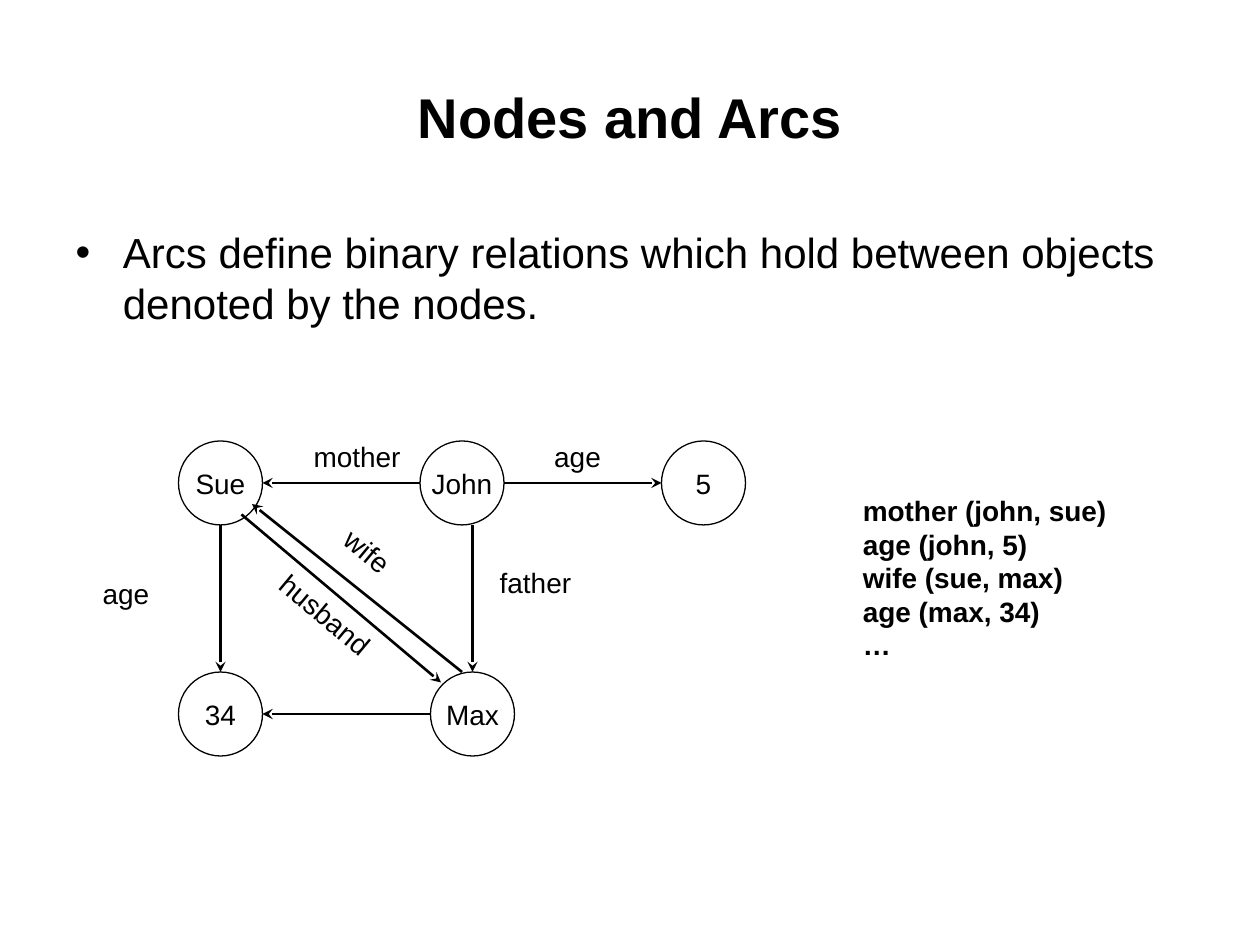
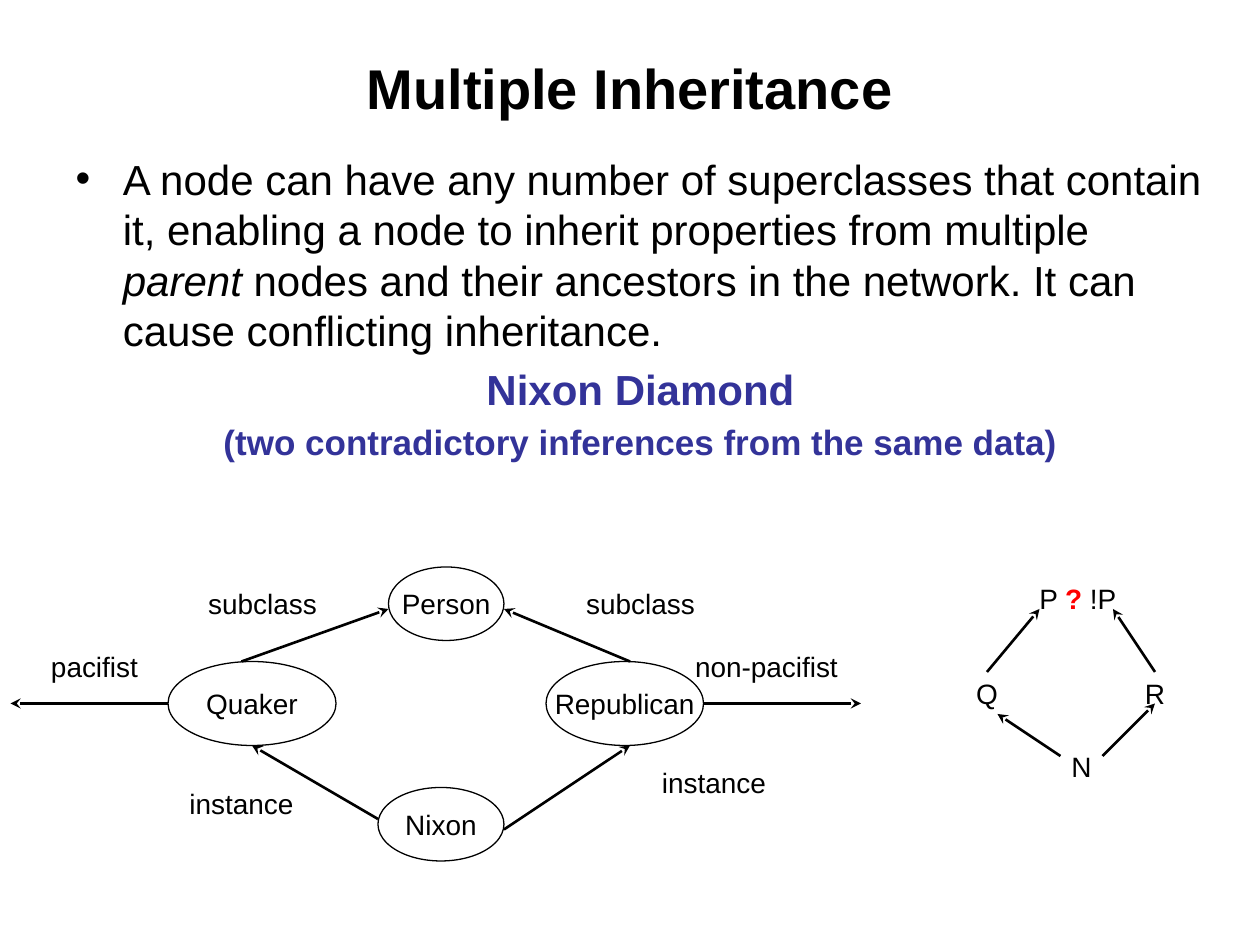
"""Build two slides on semantic networks: arcs between nodes, and multiple inheritance."""
from lxml import etree
from pptx import Presentation
from pptx.dml.color import RGBColor
from pptx.enum.shapes import MSO_CONNECTOR, MSO_SHAPE
from pptx.enum.text import MSO_ANCHOR, MSO_AUTO_SIZE, PP_ALIGN
from pptx.oxml.ns import qn
from pptx.util import Emu, Pt

ELLIPSE = MSO_SHAPE.OVAL
STRAIGHT = MSO_CONNECTOR.STRAIGHT
MIDDLE, TOP = MSO_ANCHOR.MIDDLE, MSO_ANCHOR.TOP
CENTER, LEFT = PP_ALIGN.CENTER, PP_ALIGN.LEFT
NO_AUTOFIT = MSO_AUTO_SIZE.NONE

PX = 7620
FONT = "Arial"
BLACK, BLUE, RED = "000000", "333399", "FF0000"
LABEL_WIDTH, LABEL_HEIGHT = 120, 30
NODE = 80


def px(*lengths):
    return [Emu(length * PX) for length in lengths]


def color(value):
    return RGBColor.from_string(value)


def add_text(paragraph, text, size=16, ink=BLACK, bold=False, italic=False):
    run = paragraph.add_run()
    run.text = text
    font = run.font
    font.name, font.size = FONT, Pt(size)
    font.bold, font.italic = bold, italic
    font.color.rgb = color(ink)


def set_bullet(paragraph, character=None):
    properties = paragraph._p.get_or_add_pPr()
    if character:
        etree.SubElement(properties, qn("a:buChar")).set("char", character)
    else:
        etree.SubElement(properties, qn("a:buNone"))


class Deck:
    def __init__(self):
        self.presentation = Presentation()
        self.presentation.slide_width, self.presentation.slide_height = px(1200, 900)
        self.slide = None

    def place(self, shape, box):
        shape.left, shape.top, shape.width, shape.height = px(*box)

    def frame(self, shape, anchor=MIDDLE, wrap=False):
        frame = shape.text_frame
        frame.auto_size = NO_AUTOFIT
        frame.word_wrap = wrap
        frame.vertical_anchor = anchor
        return frame

    def fill(self, frame, paragraphs, alignment=CENTER):
        for index, runs in enumerate(paragraphs):
            paragraph = frame.add_paragraph() if index else frame.paragraphs[0]
            paragraph.alignment = alignment
            for text, style in runs:
                add_text(paragraph, text, **style)

    def new_slide(self, title, height):
        layout = self.presentation.slide_layouts[1]
        self.slide = self.presentation.slides.add_slide(layout)
        shape = self.slide.shapes.title
        self.place(shape, (60, 36, 1080, height))
        self.fill(self.frame(shape, wrap=True), [[(title, {"size": 32, "bold": True})]])

    def body(self, box, bullet_runs, headings=()):
        shape = self.slide.placeholders[1]
        self.place(shape, box)
        frame = self.frame(shape, TOP, wrap=True)
        self.fill(frame, [bullet_runs, *headings])
        for index, paragraph in enumerate(frame.paragraphs):
            paragraph.alignment = CENTER if index else LEFT
            if not index:
                paragraph.space_before = Pt(0)
            set_bullet(paragraph, None if index else "•")

    def node(self, runs, left, top, width=NODE, height=NODE, outlined=True):
        shape = self.slide.shapes.add_shape(ELLIPSE, *px(left, top, width, height))
        shape.shadow.inherit = False
        shape.fill.background()
        if outlined:
            shape.line.color.rgb = color(BLACK)
            shape.line.width = Pt(0.75)
        else:
            shape.line.fill.background()
        if isinstance(runs, str):
            runs = [(runs, {})]
        self.fill(self.frame(shape), [runs])

    def label(self, text, left, top, rotation=0):
        box = px(left, top, LABEL_WIDTH, LABEL_HEIGHT)
        shape = self.slide.shapes.add_textbox(*box)
        shape.rotation = rotation
        self.fill(self.frame(shape), [[(text, {})]])

    def facts(self, lines, box):
        shape = self.slide.shapes.add_textbox(*px(*box))
        paragraphs = [[(line, {"bold": True})] for line in lines]
        self.fill(self.frame(shape, wrap=True), paragraphs, LEFT)

    def arrow(self, tip, origin):
        connector = self.slide.shapes.add_connector(STRAIGHT, *px(*tip, *origin))
        connector.line.color.rgb = color(BLACK)
        connector.line.width = Pt(1.5)
        line = connector.line._get_or_add_ln()
        etree.SubElement(line, qn("a:headEnd")).set("type", "stealth")
        etree.SubElement(connector._element.spPr, qn("a:effectLst"))


def build_nodes_and_arcs(deck):
    deck.new_slide("Nodes and Arcs", 150)
    definition = ("Arcs define binary relations which hold between objects "
                  "denoted by the nodes.")
    deck.body((60, 210, 1080, 110), [(definition, {"size": 24})])

    for name, left, top in [("Sue", 170, 420), ("John", 400, 420), ("5", 630, 420),
                            ("Max", 410, 640), ("34", 170, 640)]:
        deck.node(name, left, top)
    for tip, origin in [((250, 460), (400, 460)), ((240, 480), (440, 640)),
                        ((420, 650), (230, 490)), ((630, 460), (480, 460)),
                        ((450, 640), (450, 500)), ((250, 680), (410, 680)),
                        ((210, 640), (210, 500))]:
        deck.arrow(tip, origin)
    for text, left, top, rotation in [("mother", 280, 420, 0), ("age", 490, 420, 0),
                                      ("father", 450, 540, 0), ("age", 60, 550, 0),
                                      ("wife", 290, 510, 39.9),
                                      ("husband", 250, 570, 39.9)]:
        deck.label(text, left, top, rotation)
    deck.facts(["mother (john, sue)", "age (john, 5)", "wife (sue, max)",
                "age (max, 34)", "…"], (810, 460, 290, 180))


def build_multiple_inheritance(deck):
    deck.new_slide("Multiple Inheritance", 94)
    plain = {"size": 24}
    heading = {"ink": BLUE, "bold": True}
    deck.body(
        (60, 140, 1100, 330),
        [("A node can have any number of superclasses that contain it, enabling "
          "a node to inherit properties from multiple ", plain),
         ("parent", {"size": 24, "italic": True}),
         (" nodes and their ancestors in the network. It can cause conflicting "
          "inheritance.", plain)],
        [[("Nixon Diamond", {"size": 24, **heading})],
         [("(two contradictory inferences from the same data)",
           {"size": 20, **heading})]])

    for name, *box in [("Person", 370, 540, 110, 70), ("Nixon", 360, 750, 120, 70),
                       ("Republican", 520, 630, 150, 80),
                       ("Quaker", 160, 630, 160, 80)]:
        deck.node(name, *box)
    for text, left, top in [("subclass", 190, 560), ("subclass", 550, 560),
                            ("pacifist", 30, 620), ("non-pacifist", 670, 620),
                            ("instance", 170, 750), ("instance", 620, 730)]:
        deck.label(text, left, top)

    for letter, left, top in [("R", 1060, 620), ("Q", 900, 620), ("N", 990, 690)]:
        deck.node(letter, left, top, outlined=False)
    conflict = [("P ", {}), ("? ", {"ink": RED, "bold": True}), ("!P ", {})]
    deck.node(conflict, 930, 530, width=200, outlined=False)

    diamond_arcs = [((10, 670), (160, 670)), ((820, 670), (670, 670)),
                    ((240, 710), (360, 780)), ((600, 710), (480, 790)),
                    ((480, 580), (600, 630)), ((370, 580), (230, 630))]
    letter_arcs = [((1100, 670), (1050, 720)), ((950, 680), (1010, 720)),
                   ((1060, 580), (1100, 640)), ((990, 580), (940, 640))]
    for tip, origin in diamond_arcs + letter_arcs:
        deck.arrow(tip, origin)


def main():
    deck = Deck()
    build_nodes_and_arcs(deck)
    build_multiple_inheritance(deck)
    deck.presentation.save("out.pptx")


if __name__ == "__main__":
    main()
